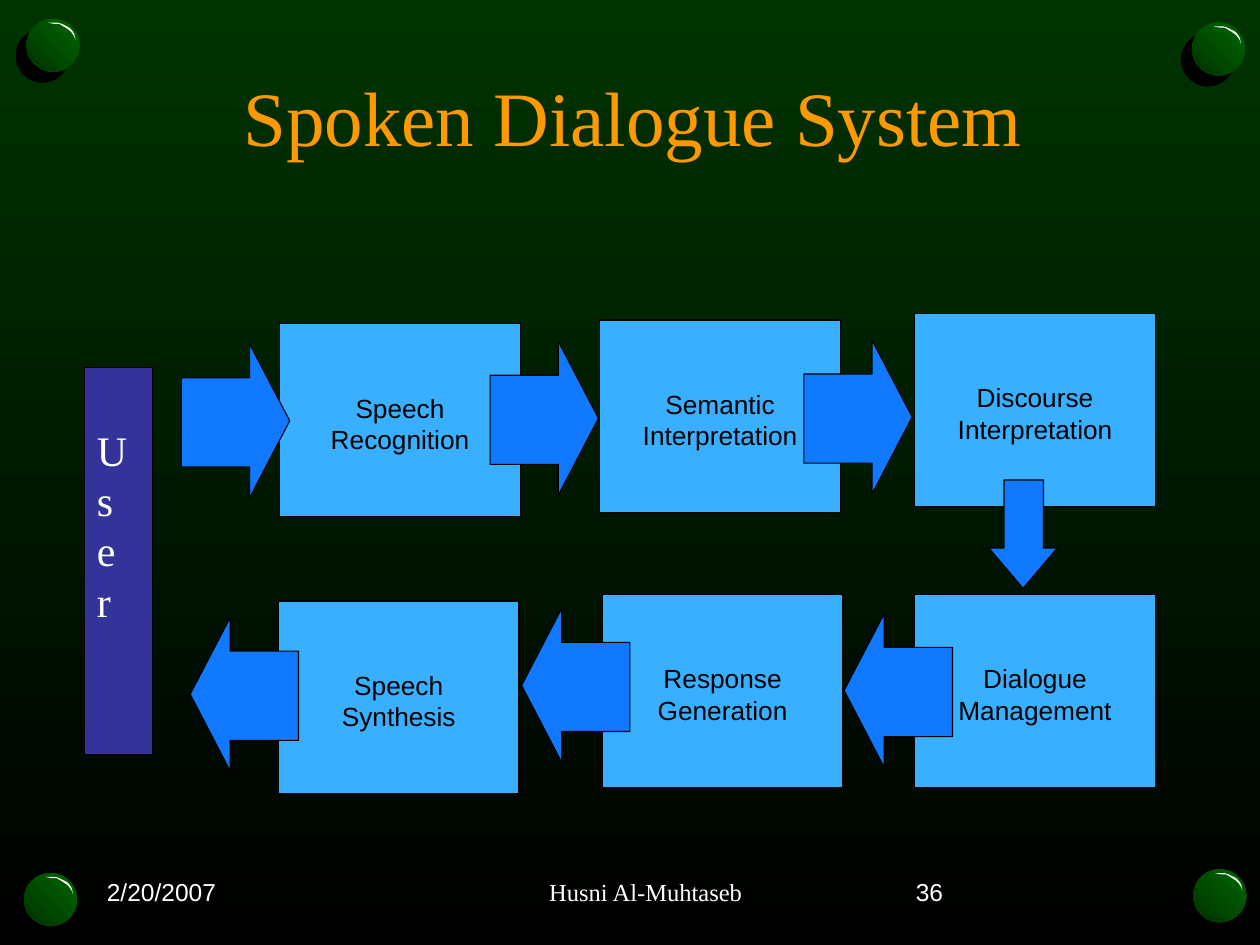
from lxml.etree import SubElement
from pptx import Presentation
from pptx.dml.color import RGBColor as Color
from pptx.enum.shapes import MSO_SHAPE as Preset
from pptx.enum.text import MSO_ANCHOR as Anchor, PP_ALIGN as Align
from pptx.oxml.ns import qn
from pptx.util import Inches, Pt

THEME = {
    "pine": "003300", "leaf": "006600", "black": "000000", "white": "FFFFFF",
    "title": "FF9900", "stage": "38B0FF", "arrow": "1079FF", "user": "333399",
    "serif": "Times New Roman", "sans": "Arial",
    "title_size": 44, "user_size": 24, "stage_size": 15, "footer_size": 14,
    "user_spacing": 28.7, "outline": 0.63,
}

presentation = Presentation()
presentation.slide_width, presentation.slide_height = Inches(10), Inches(7.5)
COLUMN = presentation.slide_width // 1000
ROW = presentation.slide_height // 750
slide = presentation.slides.add_slide(presentation.slide_layouts[6])
shapes = slide.shapes


def paint(shape, fill, outlined=False):
    shape.shadow.inherit = False
    shape.fill.solid()
    shape.fill.fore_color.rgb = Color.from_string(THEME[fill])
    if outlined:
        shape.line.color.rgb = Color.from_string(THEME["black"])
        shape.line.width = Pt(THEME["outline"])
    else:
        shape.line.fill.background()


def write(shape, lines, font, size, color, align, frame_format, spacing=None):
    frame = shape.text_frame
    for name, value in {"word_wrap": True, **frame_format}.items():
        setattr(frame, name, value)
    frame.text = "\n".join(lines)
    for paragraph in frame.paragraphs:
        paragraph.alignment = align
        if spacing:
            paragraph.line_spacing = Pt(spacing)
        for name, value in {"name": THEME[font], "size": Pt(THEME[size])}.items():
            setattr(paragraph.font, name, value)
        paragraph.font.color.rgb = Color.from_string(THEME[color])


background = slide.background.fill
background.gradient()
background.gradient_angle = 270
for stop, color in zip(background.gradient_stops, ("pine", "black")):
    stop.color.rgb = Color.from_string(THEME[color])

dot = shapes.add_shape(Preset.OVAL, 974 * COLUMN, 15 * ROW, 6 * COLUMN, 6 * ROW)
paint(dot, "pine")

GLINT = [(17, 3), (25, 3), (28, 4), (30, 5), (34, 7), (36, 9), (38, 12), (39, 17),
         (38, 14), (36, 11), (34, 9), (31, 7), (26, 4), (22, 4)]
SHADE = [(26, 39), (20, 39), (16, 39), (13, 37), (10, 35), (8, 33), (6, 32), (3, 25),
         (4, 30), (6, 33), (8, 35), (12, 38), (15, 40), (19, 40), (23, 40)]
for left, top in ((21, 15), (946, 18), (947, 690), (19, 693)):
    ball = shapes.add_shape(Preset.OVAL, left * COLUMN, top * ROW, 42 * COLUMN, 42 * ROW)
    paint(ball, "pine")
    ball.fill.gradient()
    ball.fill.gradient_angle = 45
    for stop, color in zip(ball.fill.gradient_stops, ("pine", "leaf")):
        stop.color.rgb = Color.from_string(THEME[color])
    effects = ball.element.spPr.find(qn("a:effectLst"))
    shadow = SubElement(effects, qn("a:outerShdw"), dist=str(Pt(8.5)),
                        dir="8100000", algn="ctr", rotWithShape="0")
    SubElement(shadow, qn("a:srgbClr"), val=THEME["black"])
    for outline, color in ((GLINT, "white"), (SHADE, "pine")):
        points = [((left + x) * COLUMN, (top + y) * ROW) for x, y in outline]
        builder = shapes.build_freeform(*points[0])
        builder.add_line_segments(points[1:])
        paint(builder.convert_to_shape(), color)

middle = {"vertical_anchor": Anchor.MIDDLE}
texts = [
    ("2/20/2007", 75, 683, 243, 50, "sans", "footer_size", "white", Align.LEFT),
    ("Husni Al-Muhtaseb", 327, 683, 371, 50, "serif", "footer_size", "white", Align.CENTER),
    ("36", 717, 683, 219, 50, "sans", "footer_size", "white", Align.LEFT),
    ("Spoken Dialogue System", 21, 25, 963, 133, "serif", "title_size", "title", Align.CENTER),
]
for text, left, top, width, height, font, size, color, align in texts:
    box = shapes.add_textbox(left * COLUMN, top * ROW, width * COLUMN, height * ROW)
    write(box, [text], font, size, color, align, middle)

stages = [
    (("Speech", "Synthesis"), 221, 477),
    (("Speech", "Recognition"), 222, 257),
    (("Semantic", "Interpretation"), 476, 254),
    (("Response", "Generation"), 478, 472),
    (("Dialogue", "Management"), 726, 472),
    (("Discourse", "Interpretation"), 726, 249),
]
stage_frame = {**middle, "margin_left": 0, "margin_right": 0,
               "margin_top": 5 * ROW, "margin_bottom": 0}
for lines, left, top in stages:
    stage = shapes.add_shape(Preset.RECTANGLE, left * COLUMN, top * ROW,
                             191 * COLUMN, 153 * ROW)
    paint(stage, "stage", outlined=True)
    write(stage, lines, "sans", "stage_size", "black", Align.CENTER, stage_frame)

RIGHT = [(0.63, 1), (0.63, 0.8), (0, 0.8), (0, 0.22), (0.63, 0.22), (0.63, 0), (1, 0.5)]
LEFT = [(1 - x, y) for x, y in RIGHT]
DOWN = [(y, x) for x, y in RIGHT]
arrows = [
    (RIGHT, 389, 271, 86, 122), (RIGHT, 638, 270, 86, 122), (DOWN, 785, 381, 54, 86),
    (LEFT, 670, 487, 86, 122), (LEFT, 414, 483, 86, 122), (LEFT, 151, 490, 86, 122),
    (RIGHT, 144, 273, 86, 122),
]
for outline, left, top, width, height in arrows:
    points = [((left + x * width) * COLUMN, (top + y * height) * ROW) for x, y in outline]
    builder = shapes.build_freeform(*points[0])
    builder.add_line_segments(points[1:])
    paint(builder.convert_to_shape(), "arrow", outlined=True)

user = shapes.add_shape(Preset.RECTANGLE, 67 * COLUMN, 292 * ROW, 54 * COLUMN, 307 * ROW)
paint(user, "user", outlined=True)
user_frame = {"vertical_anchor": Anchor.TOP, "margin_top": 45 * ROW}
write(user, "User", "serif", "user_size", "white", Align.LEFT, user_frame,
      THEME["user_spacing"])

presentation.save("out.pptx")
